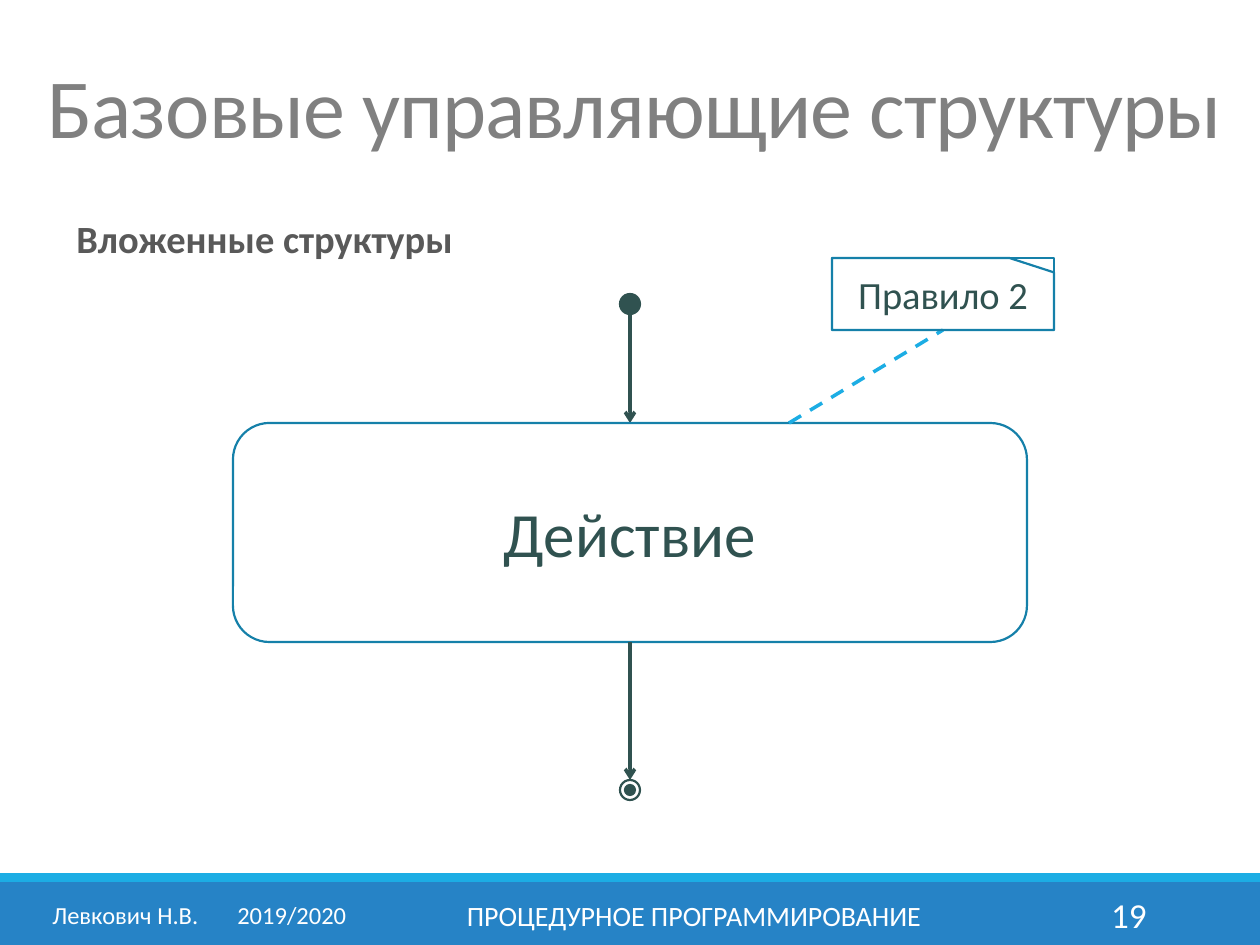
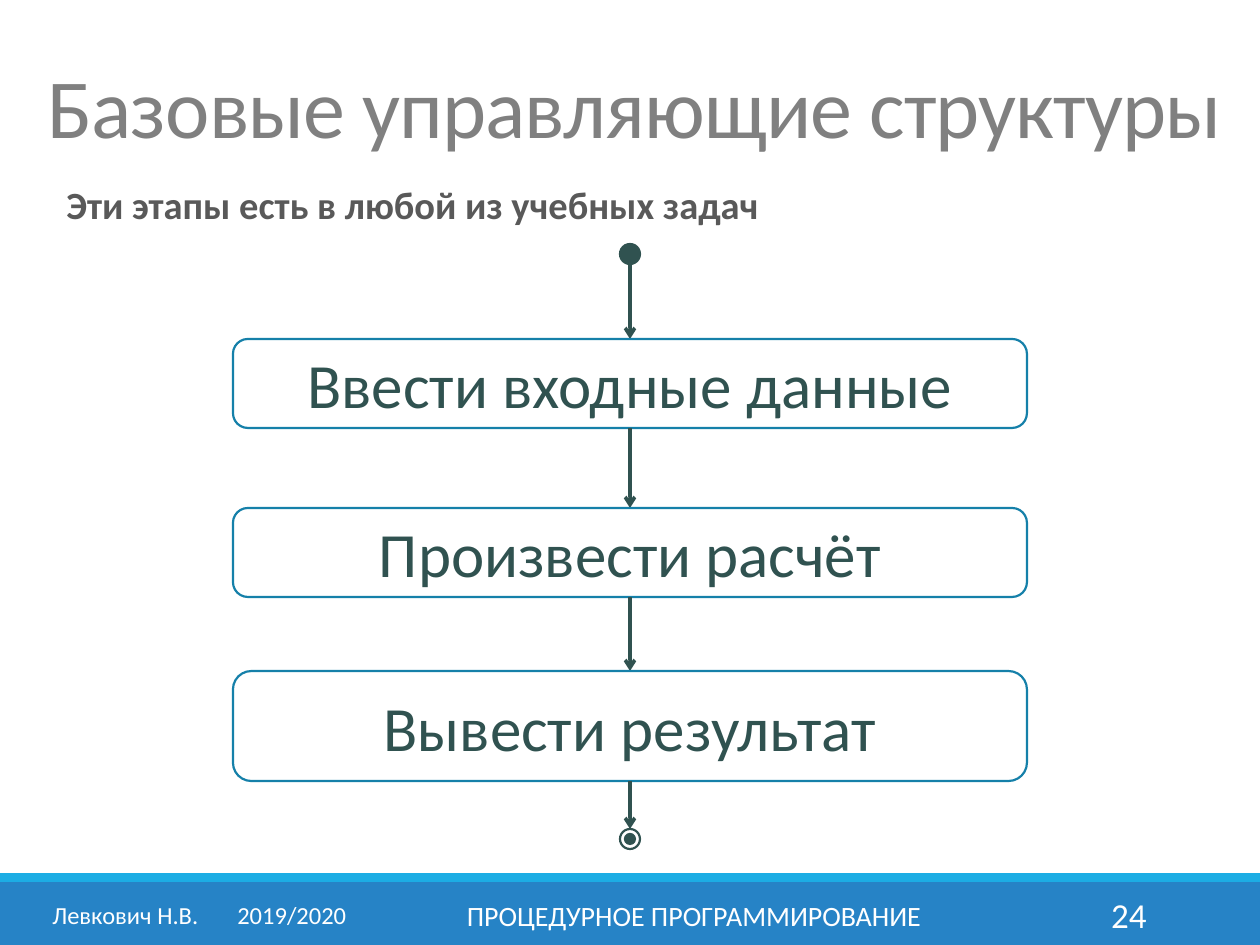
import pptx
import pptx.dml.color
import pptx.enum.dml
import pptx.enum.shapes
import pptx.enum.text
import pptx.oxml.ns
import pptx.util
from lxml import etree

PX = 914400 / 126
SLIDE_WIDTH, SLIDE_HEIGHT = 1260, 945
CENTER_X = SLIDE_WIDTH // 2
STEP_LEFT, STEP_WIDTH = 233, 794
DOT, INNER_DOT = 20, 10
FONT = "Calibri"
COLORS = {
    "title": "808080",
    "subtitle": "595959",
    "ink": "305250",
    "outline": "1580A9",
    "accent": "1CADE4",
    "band": "2683C6",
    "white": "FFFFFF",
}
SHAPE = pptx.enum.shapes.MSO_SHAPE
ALIGN = pptx.enum.text.PP_ALIGN
ANCHOR = pptx.enum.text.MSO_ANCHOR
qn = pptx.oxml.ns.qn


def emu(pixels):
    return pptx.util.Emu(round(pixels * PX))


def rgb(name):
    return pptx.dml.color.RGBColor.from_string(COLORS[name])


def write(shape, text, size, color, align=ALIGN.LEFT, anchor=ANCHOR.MIDDLE, bold=False):
    text_frame = shape.text_frame
    text_frame.word_wrap = True
    text_frame.vertical_anchor = anchor
    text_frame.text = text
    paragraph = text_frame.paragraphs[0]
    paragraph.alignment = align
    for run in paragraph.runs:
        run.font.name = FONT
        run.font.size = pptx.util.Pt(size)
        run.font.bold = bold
        run.font.color.rgb = rgb(color)
    return paragraph


def add_text(slide, box, *content, **style):
    shape = slide.shapes.add_textbox(*map(emu, box))
    return shape, write(shape, *content, **style)


def add_figure(shapes, kind, box, fill=None, line=None):
    shape = shapes.add_shape(kind, *map(emu, box))
    shape.shadow.inherit = False
    if fill:
        shape.fill.solid()
        shape.fill.fore_color.rgb = rgb(fill)
    else:
        shape.fill.background()
    if line:
        shape.line.color.rgb = rgb(line)
        shape.line.width = pptx.util.Pt(1.25)
    else:
        shape.line.fill.background()
    return shape


def add_line(slide, start, end, color):
    connector = slide.shapes.add_connector(
        pptx.enum.shapes.MSO_CONNECTOR.STRAIGHT, *map(emu, start + end))
    connector.line.color.rgb = rgb(color)
    connector.line.width = pptx.util.Pt(2)
    etree.SubElement(connector.element.spPr, qn("a:effectLst"))
    return connector


def add_arrow(slide, top, bottom):
    connector = add_line(slide, (CENTER_X, top), (CENTER_X, bottom), "ink")
    line = connector.element.spPr.find(qn("a:ln"))
    etree.SubElement(line, qn("a:tailEnd"), type="arrow")


def add_dot(shapes, center_y, diameter, fill=None):
    box = (CENTER_X - diameter / 2, center_y - diameter / 2, diameter, diameter)
    add_figure(shapes, SHAPE.FLOWCHART_CONNECTOR, box, fill, "ink")


def add_step(slide, text, top, height):
    box = (STEP_LEFT, top, STEP_WIDTH, height)
    step = add_figure(slide.shapes, SHAPE.FLOWCHART_ALTERNATE_PROCESS, box, line="outline")
    write(step, text, 36, "ink", ALIGN.CENTER)


def add_flow(slide, start_top, steps, end_top):
    add_dot(slide.shapes, start_top + DOT / 2, DOT, "ink")
    previous_bottom = start_top + DOT
    for text, top, height in steps:
        add_arrow(slide, previous_bottom, top)
        add_step(slide, text, top, height)
        previous_bottom = top + height
    add_arrow(slide, previous_bottom, end_top)
    end_mark = slide.shapes.add_group_shape()
    for diameter, fill in ((INNER_DOT, "ink"), (DOT, None)):
        add_dot(end_mark.shapes, end_top + DOT / 2, diameter, fill)


def add_note(slide, text, box, target):
    left, top, width, height = box
    dashes = add_line(slide, target, (left + width / 2, top + height), "accent")
    dashes.line.dash_style = pptx.enum.dml.MSO_LINE.DASH
    note = slide.shapes.add_group_shape()
    corner = add_figure(note.shapes, SHAPE.FLOWCHART_CARD, box, line="outline")
    corner.element.spPr.find(qn("a:xfrm")).set("flipH", "1")
    frame = add_figure(note.shapes, SHAPE.FLOWCHART_PROCESS, box, line="outline")
    write(frame, text, 22, "ink", ALIGN.CENTER)


def add_title(slide):
    shape, paragraph = add_text(
        slide, (35, 45, 1201, 135), "Базовые управляющие структуры", 48, "title")
    shape.text_frame.margin_right = 0
    paragraph.line_spacing = 0.85
    for properties in shape.element.iter(qn("a:rPr")):
        properties.set("spc", "-50")


def add_subtitle(slide, text, left, top):
    _, paragraph = add_text(slide, (left, top, 1147, 69), text, 22, "subtitle",
                            anchor=ANCHOR.TOP, bold=True)
    paragraph.line_spacing = 0.9


def add_footer(slide, number):
    top, height = 890, 50
    author, _ = add_text(slide, (40, top, 329, height),
                         "Левкович Н.В.\t2019/2020", 14, "white")
    for properties in author.element.iter(qn("a:pPr")):
        tabs = etree.SubElement(properties, qn("a:tabLst"))
        etree.SubElement(tabs, qn("a:tab"), pos=str(emu(185)), algn="l")
    add_text(slide, (381, top, 626, height), "ПРОЦЕДУРНОЕ ПРОГРАММИРОВАНИЕ",
             16, "white", align=ALIGN.CENTER)
    add_text(slide, (1023, top, 136, height), str(number), 20, "white", align=ALIGN.RIGHT)


def add_base_slide(presentation, number):
    slide = presentation.slides.add_slide(presentation.slide_layouts[6])
    add_figure(slide.shapes, SHAPE.RECTANGLE, (0, 882, SLIDE_WIDTH, 63), "band")
    add_figure(slide.shapes, SHAPE.RECTANGLE, (0, 873, SLIDE_WIDTH, 9), "accent")
    add_title(slide)
    add_footer(slide, number)
    return slide


def main():
    presentation = pptx.Presentation()
    presentation.slide_width = emu(SLIDE_WIDTH)
    presentation.slide_height = emu(SLIDE_HEIGHT)

    nested = add_base_slide(presentation, 19)
    add_subtitle(nested, "Вложенные структуры", 64, 214)
    add_flow(nested, 294, [("Действие", 423, 219)], 780)
    add_note(nested, "Правило 2", (832, 258, 222, 72), (789, 423))

    stages = add_base_slide(presentation, 24)
    add_subtitle(stages, "Эти этапы есть в любой из учебных задач", 54, 180)
    add_flow(stages, 244, [
        ("Ввести входные данные", 339, 89),
        ("Произвести расчёт", 508, 89),
        ("Вывести результат", 671, 110),
    ], 829)

    presentation.save("out.pptx")


if __name__ == "__main__":
    main()
